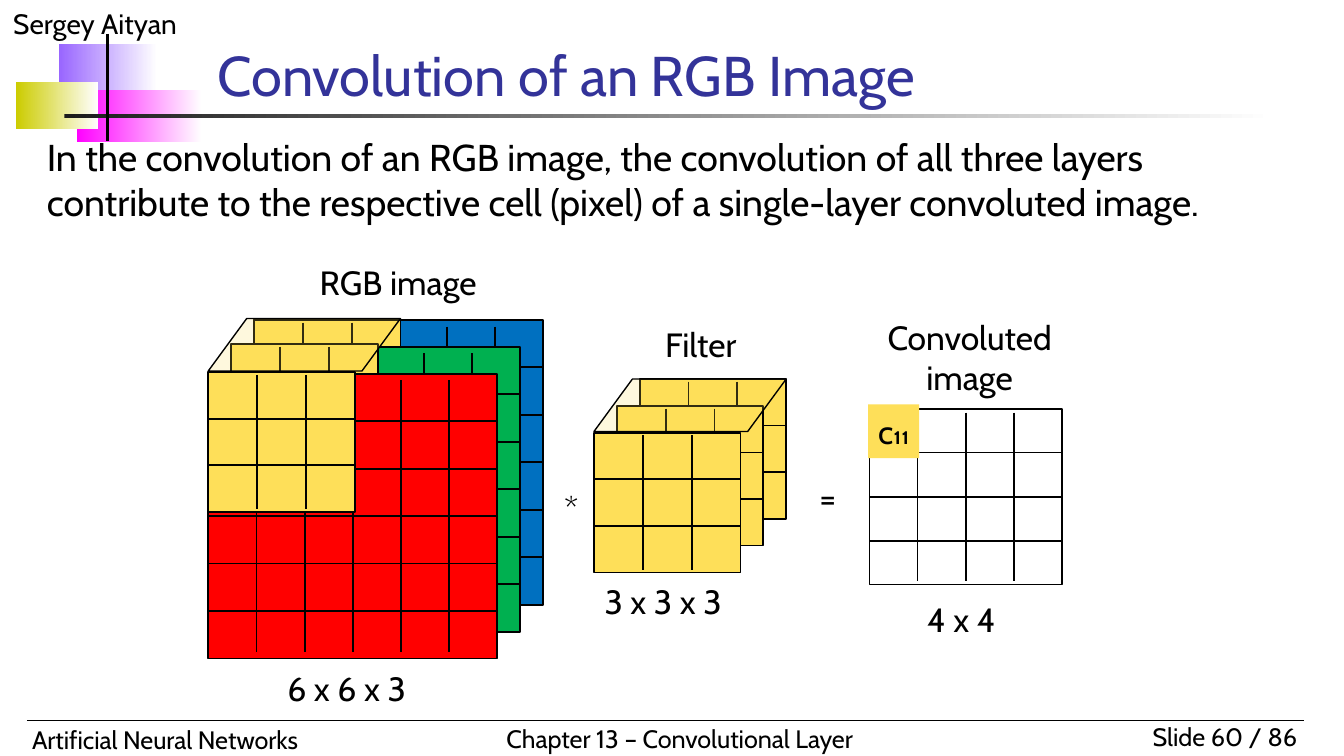
from lxml import etree
from pptx import Presentation
from pptx.dml.color import RGBColor
from pptx.enum.shapes import MSO_CONNECTOR as Connector, MSO_SHAPE as Shape
from pptx.enum.text import MSO_ANCHOR as Anchor, MSO_AUTO_SIZE as AutoSize, PP_ALIGN as Align
from pptx.oxml.ns import qn
from pptx.util import Inches, Pt

FONT = "Cabin"
COLORS = {
    "ink": "000000", "title": "333399", "white": "FFFFFF", "yellow": "FEDF59",
    "red": "FF0000", "green": "00B050", "blue": "0070C0",
    "violet": "9966FF", "magenta": "FF00FF", "olive": "CCCC00", "bar": "1C1C1C",
}
STEP_X, STEP_Y = 0.17, 0.2  # offset from one layer to the next one behind
PATCH = (1.09, 1.04)        # size of a 3 x 3 block


def rgb(name):
    return RGBColor.from_string(COLORS[name])


def write(frame, text, size=18, color="ink", align=Align.LEFT, insets=(0.1, 0.05), **formats):
    frame.text = text
    side, end = map(Inches, insets)
    settings = {
        "word_wrap": True, "auto_size": AutoSize.SHAPE_TO_FIT_TEXT,
        "margin_left": side, "margin_right": side, "margin_top": end, "margin_bottom": end,
        **formats,
    }
    for name, value in settings.items():
        setattr(frame, name, value)
    para = frame.paragraphs[0]
    para.alignment = align
    font = para.runs[0].font
    for name, value in {"name": FONT, "size": Pt(size)}.items():
        setattr(font, name, value)
    font.color.rgb = rgb(color)


def add_text(shapes, box, text, **formats):
    write(shapes.add_textbox(*map(Inches, box)).text_frame, text, **formats)


def add_line(shapes, start, end, width=1):
    line = shapes.add_connector(Connector.STRAIGHT, *map(Inches, (*start, *end)))
    line.line.color.rgb = rgb("ink")
    line.line.width = Pt(width)
    etree.SubElement(line._element.spPr, qn("a:effectLst"))


def add_block(shapes, box, fill=None, outline=None, kind=Shape.RECTANGLE):
    block = shapes.add_shape(kind, *map(Inches, box))
    block.shadow.inherit = False
    if fill:
        block.fill.solid()
        block.fill.fore_color.rgb = rgb(fill)
    else:
        block.fill.background()
    if outline:
        block.line.color.rgb = rgb("ink")
        block.line.width = Pt(outline)
    else:
        block.line.fill.background()
    return block


def add_grid(shapes, box, rows, cols, fill=None, inset=0.02):
    """Outlined block; its column lines stop short of the edges by the inset."""
    left, top, width, height = box
    add_block(shapes, box, fill, 1)
    for row in range(1, rows):
        y = top + height * row / rows
        add_line(shapes, (left, y), (left + width, y))
    for col in range(1, cols):
        x = left + width * col / cols
        add_line(shapes, (x, top + inset), (x, top + height - inset))


def add_lid(shapes, left, top):
    """Translucent parallelogram that joins the front and back patches."""
    lid = add_block(shapes, (left, top - 2 * STEP_Y, 1.43, 0.39), "yellow", 0.75,
                    Shape.FLOWCHART_DATA)
    color = lid.fill._xPr.find(qn("a:solidFill"))[0]
    etree.SubElement(color, qn("a:alpha"), val="20000")


def add_frame(page):
    """Decoration and running texts around the slide."""
    shapes = page.shapes
    for color, box in (
        ("violet", (0.44, 0.33, 0.73, 0.39)),
        ("magenta", (0.57, 0.67, 0.93, 0.39)),
        ("olive", (0.12, 0.61, 0.61, 0.35)),
        ("bar", (0.48, 0.85, 9, 0.03)),
    ):
        block = add_block(shapes, box)
        block.fill.gradient()
        block.fill.gradient_angle = 0
        for stop, name, position in zip(block.fill.gradient_stops, (color, "white"), (0, 1)):
            stop.color.rgb = rgb(name)
            stop.position = position
    add_text(shapes, (0, 0, 2.5, 0.35), "Sergey Aityan", size=15)
    add_text(shapes, (8.25, 5.32, 1.5, 0.33), "Slide 60 / 86", size=13.5, align=Align.RIGHT)
    add_text(shapes, (0.14, 5.34, 3.7, 0.33), "Artificial Neural Networks", size=13.5)
    add_text(shapes, (3.67, 5.33, 2.99, 0.33), "Chapter 13 – Convolutional Layer",
             size=13.5, word_wrap=False)
    add_line(shapes, (0.2, 5.36), (9.7, 5.36), 0.75)
    add_line(shapes, (0.8, 0.25), (0.8, 1.05), 2)


def add_heading(page):
    title = page.shapes.title
    for name, value in zip(("left", "top", "width", "height"), (1.52, 0.31, 7.35, 0.54)):
        setattr(title, name, Inches(value))
    write(title.text_frame, "Convolution of an RGB Image", size=30, color="title",
          vertical_anchor=Anchor.BOTTOM, auto_size=AutoSize.NONE)
    add_text(page.shapes, (0.25, 0.95, 9.5, 0.78),
             "In the convolution of an RGB image, the convolution of all three layers "
             "contribute to the respective cell (pixel) of a single-layer convoluted image.",
             size=20, auto_size=AutoSize.NONE)


def add_filter(page, left, top):
    """Three 3 x 3 layers; left and top are those of the front layer."""
    shapes = page.shapes.add_group_shape().shapes
    for depth in (2, 1, 0):
        add_grid(shapes, (left + depth * STEP_X, top - depth * STEP_Y, *PATCH), 3, 3, "yellow")
    add_lid(shapes, left, top)
    add_text(shapes, (left + 0.43, top - 0.86, 0.79, 0.4), "Filter")
    add_text(shapes, (left - 0.02, top + 1.05, 1.26, 0.4), "3 x 3 x 3")


def add_rgb_image(page, left, top):
    """Three 6 x 6 layers, each with the 3 x 3 patch under the filter."""
    shapes = page.shapes.add_group_shape().shapes
    for depth, color, patch_rows, lift in (
        (2, "blue", 1, 0), (1, "green", 1, 0.02), (0, "red", 3, 0.01),
    ):
        x, y = left + depth * STEP_X, top - depth * STEP_Y
        add_grid(shapes, (x, y, 2.15, 2.12), 6, 6, color, inset=0.05)
        add_grid(shapes, (x, y - lift, *PATCH), patch_rows, 3, "yellow")
    add_lid(shapes, left, top - 0.01)
    add_text(shapes, (left + 0.73, top - 0.88, 1.58, 0.4), "RGB image")
    add_text(shapes, (left + 0.49, top + 2.14, 1.26, 0.4), "6 x 6 x 3")


def add_result(page, left, top):
    shapes = page.shapes.add_group_shape().shapes
    add_grid(shapes, (left, top, 1.43, 1.31), 4, 4, inset=0.03)
    add_text(shapes, (left + 0.33, top + 1.37, 0.76, 0.4), "4 x 4")
    add_text(shapes, (left - 0.02, top - 0.73, 1.53, 0.71), "Convoluted image",
             align=Align.CENTER)
    # Highlighted first cell
    cell = add_block(page.shapes, (left - 0.01, top - 0.03, 0.38, 0.4), "yellow")
    write(cell.text_frame, "c₁₁", align=Align.CENTER, insets=(0, 0.05))


def main():
    deck = Presentation()
    deck.slide_width = Inches(10)
    deck.slide_height = deck.slide_width * 9 // 16
    page = deck.slides.add_slide(deck.slide_layouts[5])
    add_frame(page)
    add_heading(page)
    add_filter(page, 4.42, 3.22)
    add_rgb_image(page, 1.55, 2.78)
    add_result(page, 6.47, 3.04)
    # Operators between the three parts
    for sign, left, top in (("*", 4.06, 3.63), ("=", 5.97, 3.55)):
        add_text(page.shapes, (left, top, 0.38, 0.3), sign, align=Align.CENTER, insets=(0, 0))
    deck.save("out.pptx")


if __name__ == "__main__":
    main()
